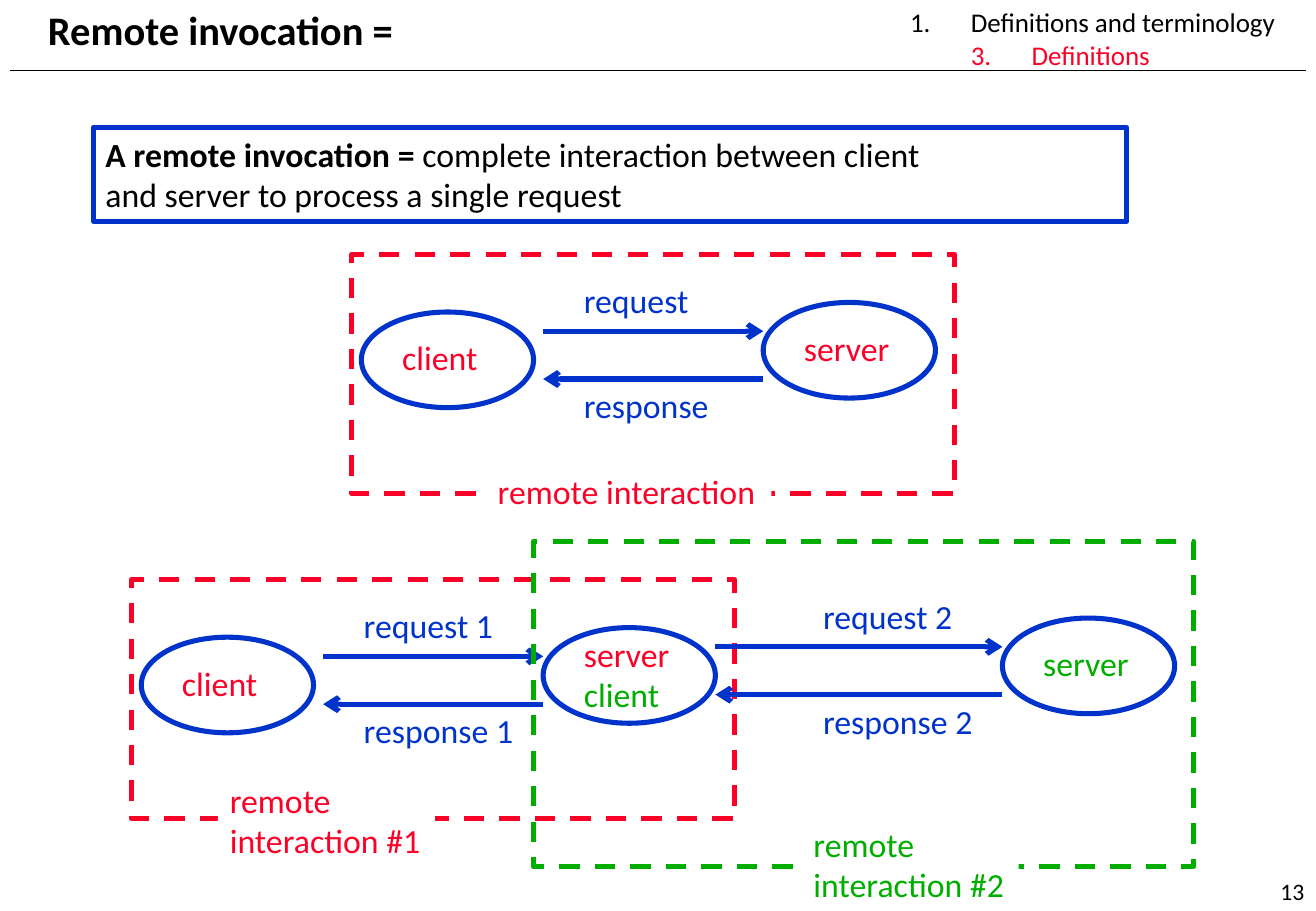
from dataclasses import dataclass
from typing import NamedTuple, Optional

import pptx
import pptx.util
import pptx.dml.color
import pptx.enum.dml
import pptx.enum.shapes
import pptx.enum.text
import pptx.oxml.ns
import lxml.etree

RGBColor = pptx.dml.color.RGBColor
Shape = pptx.enum.shapes.MSO_SHAPE
Anchor = pptx.enum.text.MSO_ANCHOR
Align = pptx.enum.text.PP_ALIGN

BLACK = RGBColor(0x00, 0x00, 0x00)
WHITE = RGBColor(0xFF, 0xFF, 0xFF)
BLUE = RGBColor(0x00, 0x33, 0xCC)
RED = RGBColor(0xFC, 0x01, 0x28)
GREEN = RGBColor(0x00, 0xAE, 0x00)

FONT = "Calibri"
WIDTH, HEIGHT = pptx.util.Inches(10.83), pptx.util.Inches(7.5)
CELL = pptx.util.Mm(2)
HEAVY = 3
OVAL_COLUMNS, OVAL_ROWS = 18, 10
REQUEST_ROW, RESPONSE_ROW = 3, 8


class Area(NamedTuple):
    column: float
    row: float
    columns: float
    rows: float


class Line(NamedTuple):
    text: str
    color: RGBColor = BLACK
    lead: str = ""
    margin: float = 0
    number: bool = False


@dataclass
class Node:
    column: float
    row: float
    lines: list[Line]


@dataclass
class Exchange:
    left: float
    server: Node
    label_shift: float
    suffix: str = ""


@dataclass
class Frame:
    area: Area
    color: RGBColor
    caption: Area
    words: list[str]


@dataclass
class Scene:
    nodes: list[Node]
    exchange: Exchange
    frame: Frame


def across(column: float) -> int:
    return round(WIDTH / 2 + column * CELL)


def down(row: float) -> int:
    return round(HEIGHT / 2 + row * CELL)


def place(area: Area) -> tuple[int, int, int, int]:
    return (across(area.column), down(area.row),
            round(area.columns * CELL), round(area.rows * CELL))


def write(box, lines: list[Line], size: float = 20, bold: bool = False,
          wrap: bool = False, anchor=Anchor.TOP, align=Align.LEFT) -> None:
    frame = box.text_frame
    frame.word_wrap = wrap
    frame.auto_size = pptx.enum.text.MSO_AUTO_SIZE.SHAPE_TO_FIT_TEXT
    frame.vertical_anchor = anchor
    for index, line in enumerate(lines):
        para = frame.add_paragraph() if index else frame.paragraphs[0]
        if line.margin:
            properties = para._p.get_or_add_pPr()
            properties.set("marL", str(pptx.util.Inches(line.margin)))
            properties.set("indent", str(pptx.util.Inches(-0.5)))
            if line.number:
                lxml.etree.SubElement(properties, pptx.oxml.ns.qn("a:buAutoNum"),
                                      type="arabicPeriod")
        para.alignment = align
        para.font.name = FONT
        para.font.size = pptx.util.Pt(size)
        para.font.bold = bold
        para.font.color.rgb = line.color
        if line.lead:
            span = para.add_run()
            span.text = line.lead
            span.font.bold = True
        para.add_run().text = line.text


def add_text(page, area: Area, lines: list[Line], **style) -> None:
    write(page.shapes.add_textbox(*place(area)), lines, **style)


def add_outline(page, kind, area: Area, line: Optional[RGBColor] = None,
                fill: Optional[RGBColor] = None, dashed: bool = False):
    shape = page.shapes.add_shape(kind, *place(area))
    shape.shadow.inherit = False
    if fill is None:
        shape.fill.background()
    else:
        shape.fill.solid()
        shape.fill.fore_color.rgb = fill
    if line is None:
        shape.line.fill.background()
    else:
        shape.line.color.rgb = line
        shape.line.width = pptx.util.Pt(HEAVY)
    if dashed:
        shape.line.dash_style = pptx.enum.dml.MSO_LINE.DASH
    return shape


def add_line(page, start: float, end: float, row: float, color: RGBColor,
             width: float, arrow: bool = False) -> None:
    line = page.shapes.add_connector(pptx.enum.shapes.MSO_CONNECTOR.STRAIGHT,
                                     across(start), down(row), across(end), down(row))
    line.line.color.rgb = color
    line.line.width = pptx.util.Pt(width)
    if arrow:
        lxml.etree.SubElement(line.line._get_or_add_ln(),
                              pptx.oxml.ns.qn("a:tailEnd"), type="arrow")
    lxml.etree.SubElement(line._element.spPr, pptx.oxml.ns.qn("a:effectLst"))


def draw_node(page, node: Node) -> None:
    add_outline(page, Shape.OVAL, Area(node.column, node.row, OVAL_COLUMNS, OVAL_ROWS),
                BLUE, WHITE)
    label_row = node.row + (2 if len(node.lines) == 1 else 0)
    add_text(page, Area(node.column + 3, label_row, 11.5, 5.6 * len(node.lines)), node.lines)


def draw_exchange(page, exchange: Exchange) -> None:
    left, right = exchange.left, exchange.server.column
    request = exchange.server.row + REQUEST_ROW
    response = exchange.server.row + RESPONSE_ROW
    add_line(page, left, right, request, BLUE, HEAVY, arrow=True)
    add_line(page, right, left, response, BLUE, HEAVY, arrow=True)
    for word, row, columns in (("request", request - 6, 13.6), ("response", response, 15.7)):
        label = Area(left + exchange.label_shift, row,
                     columns + (2.6 if exchange.suffix else 0), 5.6)
        add_text(page, label, [Line(word + exchange.suffix, BLUE)])


def draw_frame(page, frame: Frame) -> None:
    add_outline(page, Shape.RECTANGLE, frame.area, frame.color, dashed=True)
    caption = add_outline(page, Shape.RECTANGLE, frame.caption, fill=WHITE)
    write(caption, [Line(word, frame.color) for word in frame.words])


def draw_header(page) -> None:
    add_line(page, -67.75, 67.75, -40.25, BLACK, 1)
    add_text(page, Area(42.4, 41.28, 26.4, 6.35), [Line("13")], size=14, wrap=True,
             anchor=Anchor.BOTTOM, align=Align.RIGHT)
    add_text(page, Area(25.1, -47.63, 41.1, 8.1),
             [Line("Definitions and terminology", margin=0.5, number=True),
              Line("3.\tDefinitions", RED, margin=1)], size=16)
    add_text(page, Area(-65, -47.75, 39, 6.35),
             [Line("Remote invocation =", margin=0.5)], size=24, bold=True)
    definition = add_outline(page, Shape.RECTANGLE, Area(-59, -34.3, 108, 9.8), BLUE)
    write(definition, [Line("complete interaction between client",
                            lead="A remote invocation = "),
                       Line("and server to process a single request")], wrap=True)


def scenes() -> list[Scene]:
    client, server = Line("client", RED), Line("server", RED)
    single = Node(11, -16, [server])
    middle = Node(-12, 18, [server, Line("client", GREEN)])
    last = Node(36, 17, [Line("server", GREEN)])
    return [
        Scene([Node(-31, -15, [client]), single], Exchange(-12, single, 3),
              Frame(Area(-32, -21, 63, 25), RED, Area(-18, 1, 29.85, 5.6),
                    ["remote interaction"])),
        Scene([Node(-54, 19, [client]), middle], Exchange(-35, middle, 3, " 1"),
              Frame(Area(-55, 13, 63, 25), RED, Area(-46, 33.27, 22.7, 9.8),
                    ["remote", "interaction #1"])),
        Scene([last], Exchange(6, last, 10, " 2"),
              Frame(Area(-13, 9, 69, 34), GREEN, Area(15, 37.85, 22.7, 9.8),
                    ["remote", "interaction #2"])),
    ]


def main() -> None:
    deck = pptx.Presentation()
    deck.slide_width, deck.slide_height = WIDTH, HEIGHT
    page = deck.slides.add_slide(deck.slide_layouts[6])
    draw_header(page)
    for scene in scenes():
        for node in scene.nodes:
            draw_node(page, node)
        draw_exchange(page, scene.exchange)
        draw_frame(page, scene.frame)
    deck.save("out.pptx")


if __name__ == "__main__":
    main()
